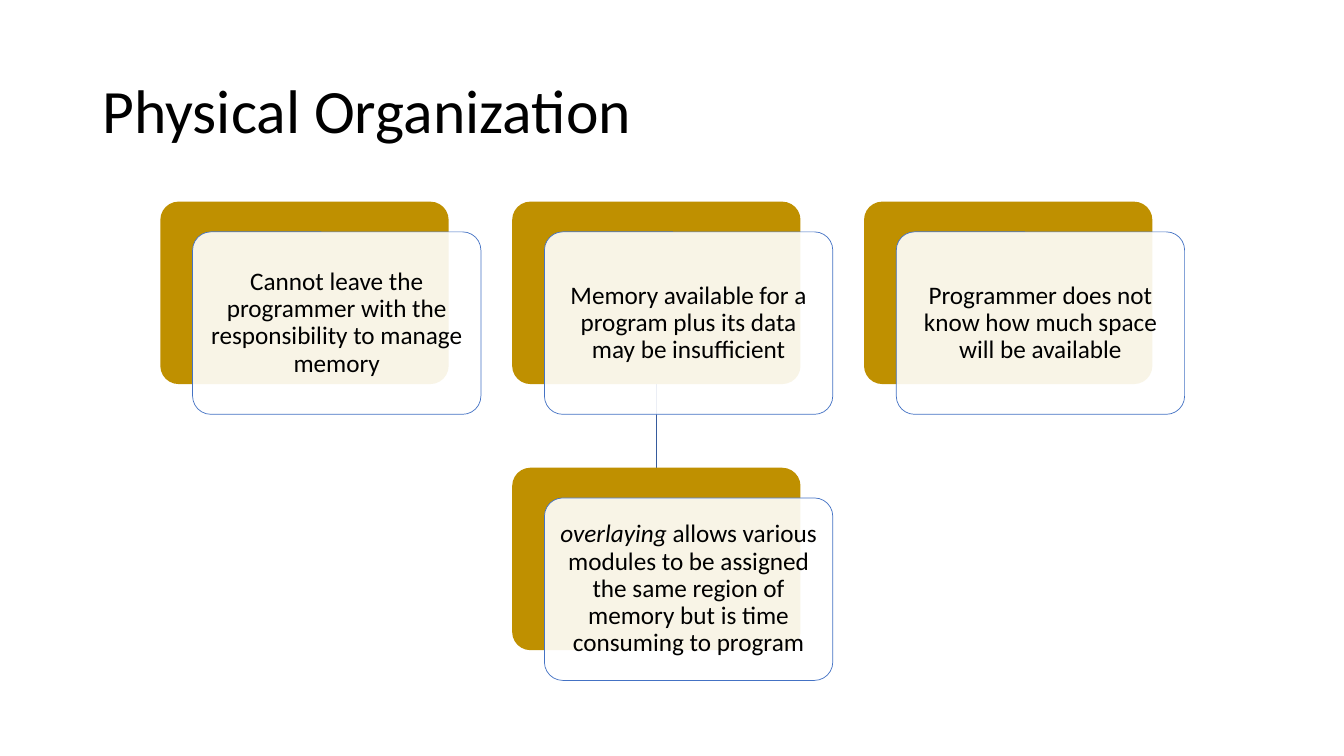
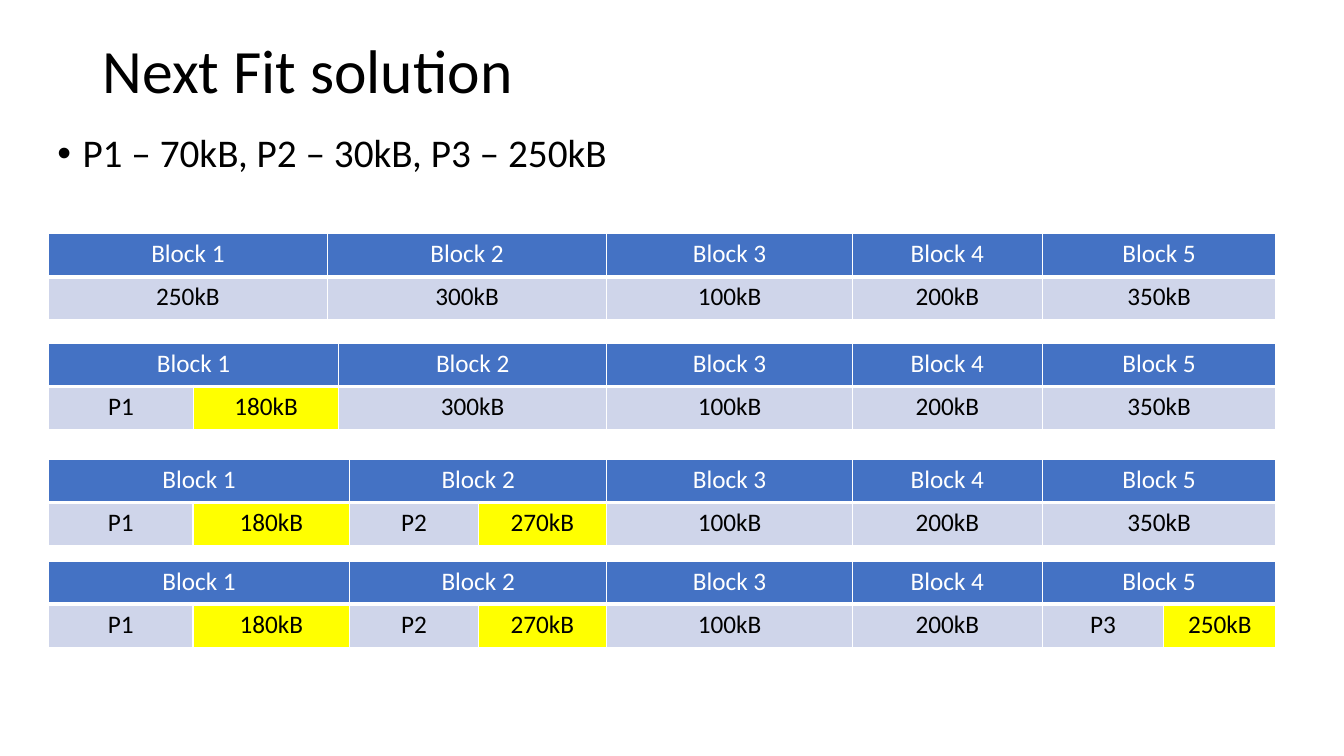
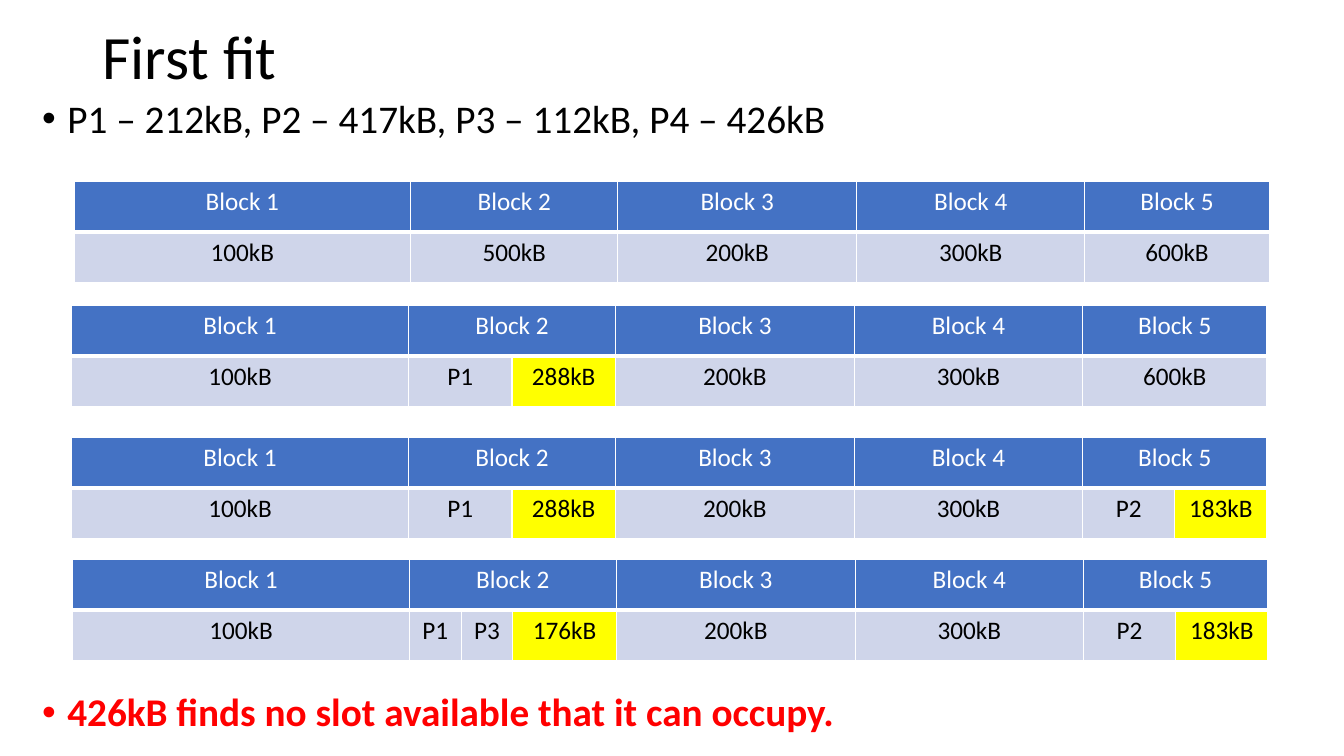
from dataclasses import dataclass
from typing import NamedTuple

from lxml import etree
from pptx import Presentation
from pptx.dml.color import RGBColor
from pptx.enum.shapes import MSO_CONNECTOR, MSO_SHAPE
from pptx.enum.text import MSO_ANCHOR, MSO_AUTO_SIZE, PP_ALIGN
from pptx.oxml.ns import qn
from pptx.util import Inches, Pt

LEFT, CENTER = PP_ALIGN.LEFT, PP_ALIGN.CENTER
MIDDLE, TOP = MSO_ANCHOR.MIDDLE, MSO_ANCHOR.TOP
NO_AUTOFIT = MSO_AUTO_SIZE.NONE
ROUNDED = MSO_SHAPE.ROUNDED_RECTANGLE
STRAIGHT = MSO_CONNECTOR.STRAIGHT
TITLE_ONLY = 5
TOP_SIDE, BOTTOM_SIDE = 0, 2

SLIDE_WIDTH, SLIDE_HEIGHT = Inches(13.33), Inches(7.5)
FONT = "Calibri"
BLACK, WHITE, RED = "000000", "FFFFFF", "FF0000"
GOLD, BLUE, LINK_BLUE = "BF9000", "4472C4", "365B9D"
USED_FILL, FREE_FILL = "CFD5EA", "FFFF00"

TITLE_LEFT, TITLE_WIDTH = 6.88, 86.25
CARD_LEFT, CARD_TOP = 11.93, 26.67
CARD_WIDTH, CARD_HEIGHT = 21.45, 24.13
COLUMN_PITCH, ROW_PITCH = 26.18, 35.2
PANEL_SHIFT_X, PANEL_SHIFT_Y = 2.4, 4


class Run(NamedTuple):
    text: str
    italic: bool = False
    bold: bool = False
    color: str = BLACK


@dataclass(frozen=True)
class Card:
    column: int
    row: int
    runs: tuple[Run, ...]


class Slot(NamedTuple):
    text: str
    share: float = 1
    free: bool = False


class Block(NamedTuple):
    width: float
    slots: tuple[Slot, ...]


@dataclass(frozen=True)
class MemoryState:
    left: float
    top: float
    blocks: tuple[Block, ...]


@dataclass(frozen=True)
class MemoryStyle:
    width: float
    row_height: float


def across(percent: float) -> int:
    return round(SLIDE_WIDTH * percent / 100)


def down(percent: float) -> int:
    return round(SLIDE_HEIGHT * percent / 100)


def rgb(color: str) -> RGBColor:
    return RGBColor.from_string(color)


def block(width: float, *slots: Slot) -> Block:
    return Block(width, slots)


def whole(width: float, size: str) -> Block:
    return block(width, Slot(size))


def split(width: float, process: str, remainder: str, share: float = 0.5) -> Block:
    return block(width, Slot(process, share), Slot(remainder, 1 - share, True))


def write(paragraph, runs: tuple[Run, ...], size: float, align=LEFT, spacing: float = 0.9) -> None:
    paragraph.alignment = align
    paragraph.line_spacing = spacing
    for piece in runs:
        run = paragraph.add_run()
        run.text = piece.text
        run.font.name = FONT
        run.font.size = Pt(size)
        run.font.bold = piece.bold
        run.font.italic = piece.italic
        run.font.color.rgb = rgb(piece.color)


def add_titled_slide(deck, title: str, top: float, height: float):
    slide = deck.slides.add_slide(deck.slide_layouts[TITLE_ONLY])
    heading = slide.shapes.title
    heading.left, heading.top = across(TITLE_LEFT), down(top)
    heading.width, heading.height = across(TITLE_WIDTH), down(height)
    frame = heading.text_frame
    frame.auto_size = NO_AUTOFIT
    frame.vertical_anchor = MIDDLE
    write(frame.paragraphs[0], (Run(title),), 44)
    return slide


def add_bullet(slide, left: float, top: float, run: Run) -> None:
    box = slide.shapes.add_textbox(across(left), down(top), across(92), down(7.2))
    frame = box.text_frame
    frame.word_wrap = True
    frame.vertical_anchor = TOP
    paragraph = frame.paragraphs[0]
    properties = paragraph._p.get_or_add_pPr()
    properties.set("marL", str(Inches(0.25)))
    properties.set("indent", str(-Inches(0.25)))
    etree.SubElement(properties, qn("a:buFont"), typeface="Arial")
    etree.SubElement(properties, qn("a:buChar"), char="•")
    write(paragraph, (run,), 28)


def add_rounded(slide, left: float, top: float, fill: str):
    shape = slide.shapes.add_shape(
        ROUNDED, across(left), down(top), across(CARD_WIDTH), down(CARD_HEIGHT)
    )
    shape.shadow.inherit = False
    shape.adjustments[0] = 0.1
    shape.fill.solid()
    shape.fill.fore_color.rgb = rgb(fill)
    return shape


def add_card(slide, card: Card):
    left = CARD_LEFT + card.column * COLUMN_PITCH
    top = CARD_TOP + card.row * ROW_PITCH
    backing = add_rounded(slide, left, top, GOLD)
    backing.line.fill.background()

    panel = add_rounded(slide, left + PANEL_SHIFT_X, top + PANEL_SHIFT_Y, WHITE)
    panel_color = panel._element.spPr.find(qn("a:solidFill"))[0]
    etree.SubElement(panel_color, qn("a:alpha"), val="90000")
    panel.line.color.rgb = rgb(BLUE)
    panel.line.width = Pt(0.5)
    frame = panel.text_frame
    frame.word_wrap = True
    frame.vertical_anchor = MIDDLE
    frame.margin_left = frame.margin_right = Inches(0.07)
    frame.margin_top = frame.margin_bottom = Inches(0.07)
    write(frame.paragraphs[0], card.runs, 18, CENTER)
    return backing


def add_link(slide):
    link = slide.shapes.add_connector(STRAIGHT, 0, 0, 0, 0)
    link.line.color.rgb = rgb(LINK_BLUE)
    link.line.width = Pt(0.5)
    etree.SubElement(link._element.spPr, qn("a:effectLst"))
    return link


def style_cell(cell, fill: str, bottom_width: float) -> None:
    properties = cell._tc.get_or_add_tcPr()
    for side, width in (("L", 1), ("R", 1), ("T", 1), ("B", bottom_width)):
        border = etree.SubElement(properties, qn(f"a:ln{side}"), w=str(Pt(width)))
        paint = etree.SubElement(border, qn("a:solidFill"))
        etree.SubElement(paint, qn("a:srgbClr"), val=WHITE)
    cell.fill.solid()
    cell.fill.fore_color.rgb = rgb(fill)


def add_memory(slide, state: MemoryState, style: MemoryStyle) -> None:
    column_count = sum(len(item.slots) for item in state.blocks)
    table = slide.shapes.add_table(
        2, column_count, across(state.left), down(state.top),
        across(style.width), down(2 * style.row_height),
    ).table
    table.horz_banding = False
    for row in table.rows:
        row.height = down(style.row_height)

    column = 0
    for number, item in enumerate(state.blocks, 1):
        header = table.cell(0, column)
        last = column + len(item.slots) - 1
        if last > column:
            header.merge(table.cell(0, last))
        write(header.text_frame.paragraphs[0], (Run(f"Block {number}", color=WHITE),), 18, CENTER, 1)
        for slot in item.slots:
            table.columns[column].width = across(style.width * item.width / 100 * slot.share)
            style_cell(table.cell(0, column), BLUE, 3)
            content = table.cell(1, column)
            style_cell(content, FREE_FILL if slot.free else USED_FILL, 1)
            write(content.text_frame.paragraphs[0], (Run(slot.text),), 18, CENTER, 1)
            column += 1


CARDS = (
    Card(0, 0, (Run("Cannot leave the programmer with the responsibility to manage memory"),)),
    Card(1, 0, (Run("Memory available for a program plus its data may be insufficient"),)),
    Card(1, 1, (
        Run("overlaying", italic=True),
        Run(" allows various modules to be assigned the same region of memory but is time consuming to program"),
    )),
    Card(2, 0, (Run("Programmer does not know how much space will be available"),)),
)

NEXT_MIDDLE = (whole(20.03, "100kB"), whole(15.44, "200kB"))
NEXT_LAST = whole(19.05, "350kB")
NEXT_PLACED = (split(24.55, "P1", "180kB", 0.48), split(20.93, "P2", "270kB"))
NEXT_FIT = (
    MemoryState(3.6, 30.93, (whole(22.74, "250kB"), whole(22.74, "300kB"), *NEXT_MIDDLE, NEXT_LAST)),
    MemoryState(3.6, 45.47, (split(23.65, "P1", "180kB"), whole(21.83, "300kB"), *NEXT_MIDDLE, NEXT_LAST)),
    MemoryState(3.6, 60.8, (*NEXT_PLACED, *NEXT_MIDDLE, NEXT_LAST)),
    MemoryState(3.6, 74.27, (*NEXT_PLACED, *NEXT_MIDDLE, split(19.05, "P3", "250kB", 0.52))),
)

FIRST_START = whole(28.19, "100kB")
FIRST_MIDDLE = (whole(20, "200kB"), whole(19.07, "300kB"))
FIRST_LAST = whole(15.44, "600kB")
FIRST_P1 = split(17.3, "P1", "288kB")
FIRST_P2 = split(15.44, "P2", "183kB")
FIRST_P1_P3 = block(17.3, Slot("P1", 0.25), Slot("P3", 0.25), Slot("176kB", 0.5, True))
FIRST_FIT = (
    MemoryState(5.5, 24, (FIRST_START, whole(17.3, "500kB"), *FIRST_MIDDLE, FIRST_LAST)),
    MemoryState(5.33, 40.4, (FIRST_START, FIRST_P1, *FIRST_MIDDLE, FIRST_LAST)),
    MemoryState(5.33, 57.87, (FIRST_START, FIRST_P1, *FIRST_MIDDLE, FIRST_P2)),
    MemoryState(5.4, 74, (FIRST_START, FIRST_P1_P3, *FIRST_MIDDLE, FIRST_P2)),
)


def build_organization(deck) -> None:
    slide = add_titled_slide(deck, "Physical Organization", 5.33, 19.33)
    link = add_link(slide)
    backings = {(card.column, card.row): add_card(slide, card) for card in CARDS}
    link.begin_connect(backings[1, 0], BOTTOM_SIDE)
    link.end_connect(backings[1, 1], TOP_SIDE)


def build_next_fit(deck) -> None:
    slide = add_titled_slide(deck, "Next Fit solution", 0, 19.33)
    add_bullet(slide, 3.53, 17.07, Run("P1 – 70kB, P2 – 30kB, P3 – 250kB"))
    for state in NEXT_FIT:
        add_memory(slide, state, MemoryStyle(91.35, 5.67))


def build_first_fit(deck) -> None:
    slide = add_titled_slide(deck, "First fit", 0.27, 15.2)
    add_bullet(slide, 2.4, 12.53, Run("P1 – 212kB, P2 – 417kB, P3 – 112kB, P4 – 426kB"))
    for state in FIRST_FIT:
        add_memory(slide, state, MemoryStyle(88.95, 6.71))
    add_bullet(slide, 2.4, 91, Run("426kB finds no slot available that it can occupy.", bold=True, color=RED))


def main() -> None:
    deck = Presentation()
    deck.slide_width, deck.slide_height = SLIDE_WIDTH, SLIDE_HEIGHT
    build_organization(deck)
    build_next_fit(deck)
    build_first_fit(deck)
    deck.save("out.pptx")


if __name__ == "__main__":
    main()
